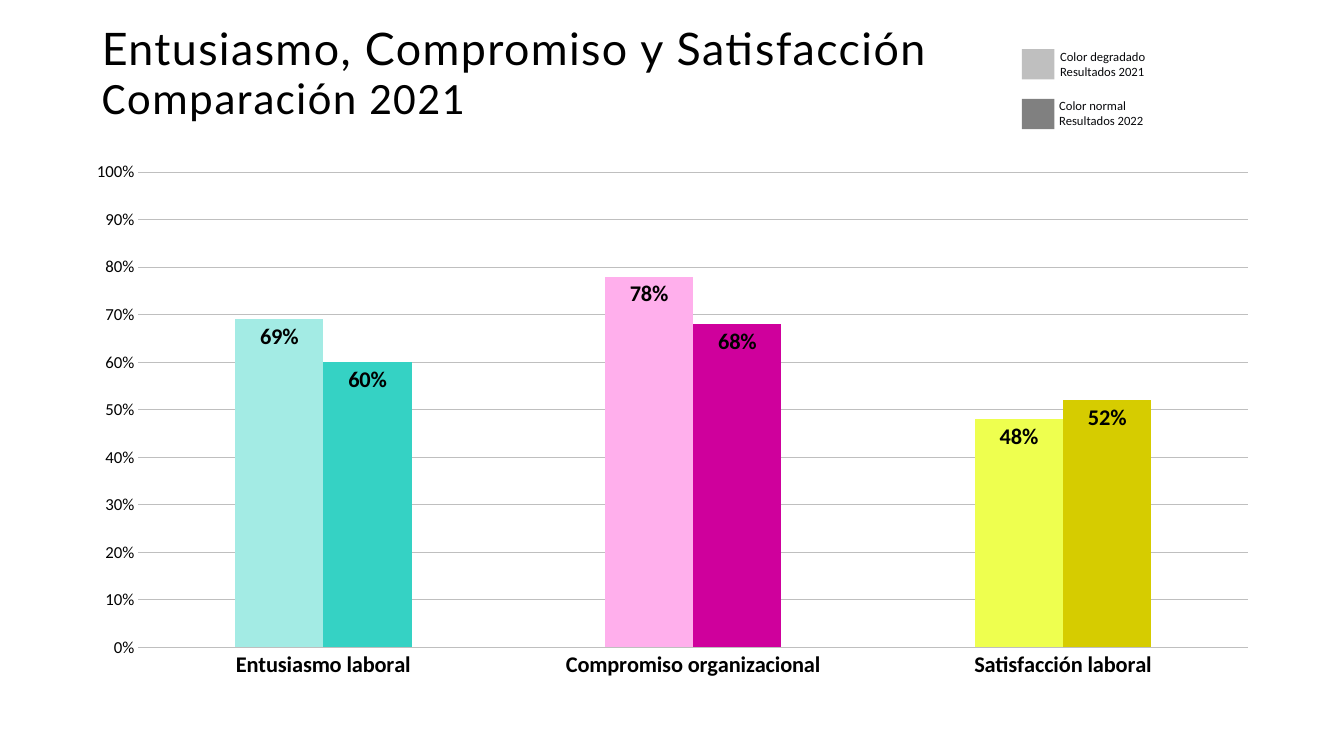
from lxml import etree
from pptx import Presentation
from pptx.chart.data import CategoryChartData
from pptx.dml.color import RGBColor
from pptx.enum.chart import XL_CHART_TYPE as ChartType
from pptx.enum.chart import XL_LABEL_POSITION as LabelPosition
from pptx.enum.chart import XL_TICK_MARK as TickMark
from pptx.enum.shapes import MSO_SHAPE as Preset
from pptx.enum.text import MSO_ANCHOR as Anchor
from pptx.enum.text import MSO_AUTO_SIZE as AutoSize
from pptx.enum.text import PP_ALIGN as Align
from pptx.oxml import parse_xml
from pptx.oxml.ns import nsdecls
from pptx.util import Pt

COLORS = {
    "black": "000000", "legend text": "07080B", "rule": "BFBFBF",
    "light gray": "BFBFBF", "dark gray": "808080",
    "light teal": "A3EBE4", "teal": "35D2C4",
    "light pink": "FFAFEC", "magenta": "CF009C",
    "light yellow": "EEFF4F", "mustard": "D6CC00", "lime": "C3D600",
}
CATEGORIES = ["Entusiasmo laboral", "Compromiso organizacional", "Satisfacción laboral"]
# name, values, base colour, colour of each column
SERIES = [
    ("Series 1", [0.69, 0.78, 0.48], "teal", ["light teal", "light pink", "light yellow"]),
    ("Series 2", [0.60, 0.68, 0.52], "lime", ["teal", "magenta", "mustard"]),
]
# colour, label lines, label left, label width
LEGEND = [
    ("light gray", ["Color degradado", "Resultados 2021"], 750.2, 160),
    ("dark gray", ["Color normal", "Resultados 2022"], 749.5, 194),
]


def rgb(name):
    return RGBColor.from_string(COLORS[name])


def paint(target, color):
    target.fill.solid()
    target.fill.fore_color.rgb = rgb(color)


def format_font(font, size, color="black", name="Calibri", bold=False):
    font.name = name
    font.size = Pt(size)
    font.bold = bold
    font.color.rgb = rgb(color)


def add_run(paragraph, text, spacing=None, **font_format):
    """Append formatted text; spacing is the letter spacing in points."""
    run = paragraph.add_run()
    run.text = text
    format_font(run.font, **font_format)
    if spacing:
        run.font._element.set("spc", str(round(spacing * 100)))


def set_plot_layout(chart, **fractions):
    """Fix the inner plot area with x, y, w and h as fractions of the chart."""
    plot_area = chart._chartSpace.chart.plotArea
    for layout in plot_area.xpath("c:layout"):
        plot_area.remove(layout)
    layout = parse_xml(
        f'<c:layout {nsdecls("c")}><c:manualLayout><c:layoutTarget val="inner"/>'
        '<c:xMode val="edge"/><c:yMode val="edge"/></c:manualLayout></c:layout>')
    for key, value in fractions.items():
        tag = etree.QName(layout.nsmap["c"], key)
        etree.SubElement(layout[0], tag).set("val", str(value))
    plot_area.insert(0, layout)


class SlideBuilder:
    def __init__(self, presentation):
        self.slide = presentation.slides.add_slide(presentation.slide_layouts[5])

    def title(self, left, top, width, height, lines):
        title = self.slide.shapes.title
        title.left, title.top, title.width, title.height = map(Pt, (left, top, width, height))
        frame = title.text_frame
        frame.margin_left = frame.margin_right = frame.margin_top = frame.margin_bottom = 0
        frame.word_wrap = True
        frame.auto_size = AutoSize.NONE
        frame.vertical_anchor = Anchor.TOP
        paragraph = frame.paragraphs[0]
        paragraph.alignment = Align.LEFT
        paragraph.line_spacing = 0.9
        for index, (text, font_name) in enumerate(lines):
            if index:
                paragraph.add_line_break()
            add_run(paragraph, text, size=32, name=font_name, spacing=1)

    def swatch(self, left, top, width, height, color):
        shape = self.slide.shapes.add_shape(Preset.RECTANGLE, *map(Pt, (left, top, width, height)))
        shape.shadow.inherit = False
        paint(shape, color)
        shape.line.fill.background()

    def label(self, left, top, width, height, lines):
        box = self.slide.shapes.add_textbox(*map(Pt, (left, top, width, height)))
        frame = box.text_frame
        frame.word_wrap = True
        frame.auto_size = AutoSize.SHAPE_TO_FIT_TEXT
        for index, text in enumerate(lines):
            paragraph = frame.add_paragraph() if index else frame.paragraphs[0]
            add_run(paragraph, text, size=9, color="legend text")

    def column_chart(self, left, top, width, height):
        data = CategoryChartData(number_format="0%")
        data.categories = CATEGORIES
        for name, values, _, _ in SERIES:
            data.add_series(name, values)
        chart = self.slide.shapes.add_chart(
            ChartType.COLUMN_CLUSTERED, *map(Pt, (left, top, width, height)), data).chart
        chart.has_legend = False
        chart.has_title = False
        format_font(chart.font, 10)
        set_plot_layout(chart, x=0.055, y=0.039, w=0.925, h=0.883)
        self.axes(chart)
        plot = chart.plots[0]
        plot.gap_width = 219
        plot.overlap = 0
        plot.vary_by_categories = False
        for series, (_, _, base, point_colors) in zip(plot.series, SERIES):
            paint(series.format, base)
            series.invert_if_negative = False
            for index, color in enumerate(point_colors):
                paint(series.points[index].format, color)
            labels = series.data_labels
            labels.show_value = True
            labels.position = LabelPosition.INSIDE_END
            labels.number_format = "0%"
            labels.number_format_is_linked = False
            format_font(labels.font, 16, bold=True)

    def axes(self, chart):
        category_axis, value_axis = chart.category_axis, chart.value_axis
        for axis in (category_axis, value_axis):
            axis.major_tick_mark = axis.minor_tick_mark = TickMark.NONE
        format_font(category_axis.tick_labels.font, 16, bold=True)
        format_font(value_axis.tick_labels.font, 12)
        value_axis.minimum_scale, value_axis.maximum_scale = 0, 1
        value_axis.major_unit = 0.1
        value_axis.tick_labels.number_format = "0%"
        value_axis.tick_labels.number_format_is_linked = False
        value_axis.format.line.fill.background()
        value_axis.has_major_gridlines = True
        for line, line_width in ((category_axis.format.line, 0.75),
                                 (value_axis.major_gridlines.format.line, 0.5)):
            line.color.rgb = rgb("rule")
            line.width = Pt(line_width)


def main():
    presentation = Presentation()
    presentation.slide_width, presentation.slide_height = Pt(960), Pt(540)
    builder = SlideBuilder(presentation)
    builder.title(72.7, 19.4, 616.3, 76.3, [
        ("Entusiasmo, Compromiso y Satisfacción", "Lato"),
        ("Comparación 2021", "Calibri"),
    ])
    for index, (color, lines, left, width) in enumerate(LEGEND):
        offset = index * 35.4
        builder.swatch(730, 35.2 + offset, 23.2, 21.6, color)
        builder.label(left, 31.2 + offset, width, 28.8, lines)
    builder.column_chart(51.8, 108, 856.8, 384.5)
    presentation.save("out.pptx")


if __name__ == "__main__":
    main()
